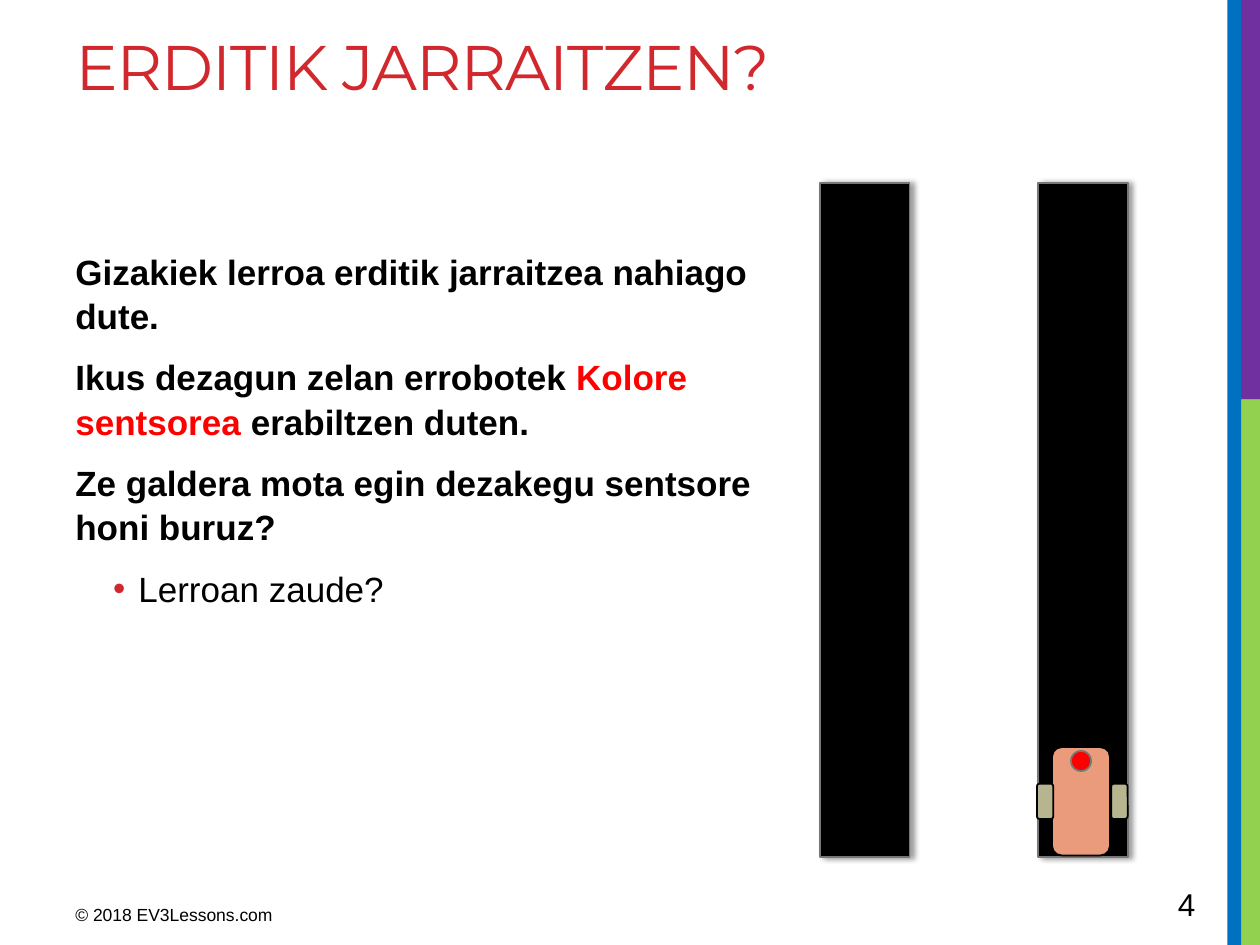
"""Build the line-following lesson slide with its tracks and robot."""
from typing import NamedTuple

import pptx
import pptx.dml.color
import pptx.enum.shapes
import pptx.enum.text
import pptx.oxml
import pptx.oxml.ns
import pptx.util

Inches = pptx.util.Inches
Pt = pptx.util.Pt
RGBColor = pptx.dml.color.RGBColor
Shape = pptx.enum.shapes.MSO_SHAPE
Anchor = pptx.enum.text.MSO_ANCHOR

BLACK = RGBColor(0x00, 0x00, 0x00)
GRAY = RGBColor(0x77, 0x77, 0x77)
RED = RGBColor(0xFF, 0x00, 0x00)
CRIMSON = RGBColor(0xD1, 0x28, 0x2E)
BLUE = RGBColor(0x00, 0x70, 0xC0)
GREEN = RGBColor(0x92, 0xD0, 0x50)
PURPLE = RGBColor(0x70, 0x30, 0xA0)
SALMON = RGBColor(0xEA, 0x9B, 0x7C)
KHAKI = RGBColor(0xB6, 0xB5, 0x90)

TRACK_SHADOW = (
    f'<a:effectLst {pptx.oxml.ns.nsdecls("a")}>'
    '<a:outerShdw blurRad="39370" dist="22860" dir="0" rotWithShape="0">'
    '<a:srgbClr val="000000"><a:alpha val="40000"/></a:srgbClr>'
    '</a:outerShdw></a:effectLst>'
)


class Part(NamedTuple):
    left: float
    top: float
    width: float
    height: float
    fill: RGBColor
    outline: RGBColor | None = None
    kind: Shape = Shape.RECTANGLE


class Run(NamedTuple):
    text: str
    color: RGBColor = BLACK


STRIPES = [
    Part(9.84, 3.17, 0.16, 4.33, GREEN),
    Part(9.8, 0, 0.2, 3.17, PURPLE),
    Part(9.74, 0, 0.11, 7.5, BLUE),
]
TRACKS = [Part(left, 1.45, 0.71, 5.35, BLACK, GRAY) for left in (6.51, 8.24)]
ROBOT = [
    Part(8.35, 5.93, 0.46, 0.86, SALMON, BLACK, Shape.ROUNDED_RECTANGLE),
    *(Part(left, 6.22, 0.13, 0.28, KHAKI, BLACK, Shape.ROUNDED_RECTANGLE)
      for left in (8.82, 8.23)),
    Part(8.5, 5.96, 0.16, 0.16, RED, GRAY, Shape.OVAL),
]
STATEMENTS = [
    [Run("Gizakiek lerroa erditik jarraitzea nahiago dute.")],
    [Run("Ikus dezagun zelan errobotek "), Run("Kolore sentsorea ", RED),
     Run("erabiltzen duten.")],
    [Run("Ze galdera mota egin dezakegu sentsore honi buruz?")],
]
QUESTIONS = [[Run("Lerroan zaude?")]]


def draw_part(shapes, part: Part):
    shape = shapes.add_shape(
        part.kind, Inches(part.left), Inches(part.top),
        Inches(part.width), Inches(part.height))
    shape.shadow.inherit = False
    shape.fill.solid()
    shape.fill.fore_color.rgb = part.fill
    if part.outline is None:
        shape.line.fill.background()
    else:
        shape.line.color.rgb = part.outline
        shape.line.width = Pt(1)
    return shape


def draw_track(shapes, track: Part) -> None:
    properties = draw_part(shapes, track)._element.spPr
    properties.remove(properties.find(pptx.oxml.ns.qn("a:effectLst")))
    properties.append(pptx.oxml.parse_xml(TRACK_SHADOW))


def add_text_frame(shapes, left: float, top: float, width: float,
                   height: float, anchor: Anchor):
    frame = shapes.add_textbox(
        Inches(left), Inches(top), Inches(width), Inches(height)).text_frame
    frame.word_wrap = True
    frame.vertical_anchor = anchor
    return frame


def set_font(paragraph, size: float, bold: bool = False) -> None:
    paragraph.font.name = "Arial"
    paragraph.font.size = Pt(size)
    paragraph.font.bold = bold


def add_bullet(paragraph) -> None:
    properties = paragraph._p.get_or_add_pPr()
    properties.set("marL", str(Inches(0.5)))
    properties.set("indent", str(Inches(-0.2)))
    namespace = pptx.oxml.ns.nsdecls("a")
    for bullet in (
        f'<a:buClr {namespace}><a:srgbClr val="{CRIMSON}"/></a:buClr>',
        f'<a:buFont {namespace} typeface="Arial"/>',
        f'<a:buChar {namespace} char="•"/>',
    ):
        properties.append(pptx.oxml.parse_xml(bullet))


def write_lesson(shapes) -> None:
    frame = add_text_frame(shapes, 0.5, 1.92, 5.7, 4.78, Anchor.TOP)
    for index, runs in enumerate(STATEMENTS + QUESTIONS):
        is_question = index >= len(STATEMENTS)
        paragraph = frame.add_paragraph() if index else frame.paragraphs[0]
        paragraph.line_spacing = 1.05
        paragraph.space_after = Pt(6)
        if index:
            paragraph.space_before = Pt(4)
        if is_question:
            paragraph.level = 1
            add_bullet(paragraph)
        set_font(paragraph, 20, not is_question)
        for text, color in runs:
            run = paragraph.add_run()
            run.text = text
            run.font.color.rgb = color


def write_title(title) -> None:
    title.left, title.top = Inches(0.5), Inches(0.17)
    title.width, title.height = Inches(9.02), Inches(1.5)
    frame = title.text_frame
    frame.text = "ERDITIK JARRAITZEN?"
    frame.auto_size = pptx.enum.text.MSO_AUTO_SIZE.NONE
    frame.vertical_anchor = Anchor.TOP
    heading = frame.paragraphs[0]
    heading.alignment = pptx.enum.text.PP_ALIGN.LEFT
    heading.font.name = "Montserrat"
    heading.font.size = Pt(36)
    heading.font.color.rgb = CRIMSON
    heading.runs[0]._r.get_or_add_rPr().set("spc", "-60")


def write_label(frame, text: str, size: float) -> None:
    frame.text = text
    set_font(frame.paragraphs[0], size)
    frame.paragraphs[0].font.color.rgb = BLACK


def main() -> None:
    deck = pptx.Presentation()
    deck.slide_width, deck.slide_height = Inches(10), Inches(7.5)
    slide = deck.slides.add_slide(deck.slide_layouts.get_by_name("Title Only"))
    shapes = slide.shapes
    write_title(shapes.title)
    for stripe in STRIPES:
        draw_part(shapes, stripe)
    write_lesson(shapes)
    write_label(add_text_frame(shapes, 9.25, 6.97, 0.69, 0.4, Anchor.BOTTOM), "4", 18)
    for track in TRACKS:
        draw_track(shapes, track)
    robot = shapes.add_group_shape()
    for part in ROBOT:
        draw_part(robot.shapes, part)
    write_label(add_text_frame(shapes, 0.5, 7.1, 3.75, 0.31, Anchor.MIDDLE),
                "© 2018 EV3Lessons.com", 10)
    deck.save("out.pptx")


if __name__ == "__main__":
    main()
